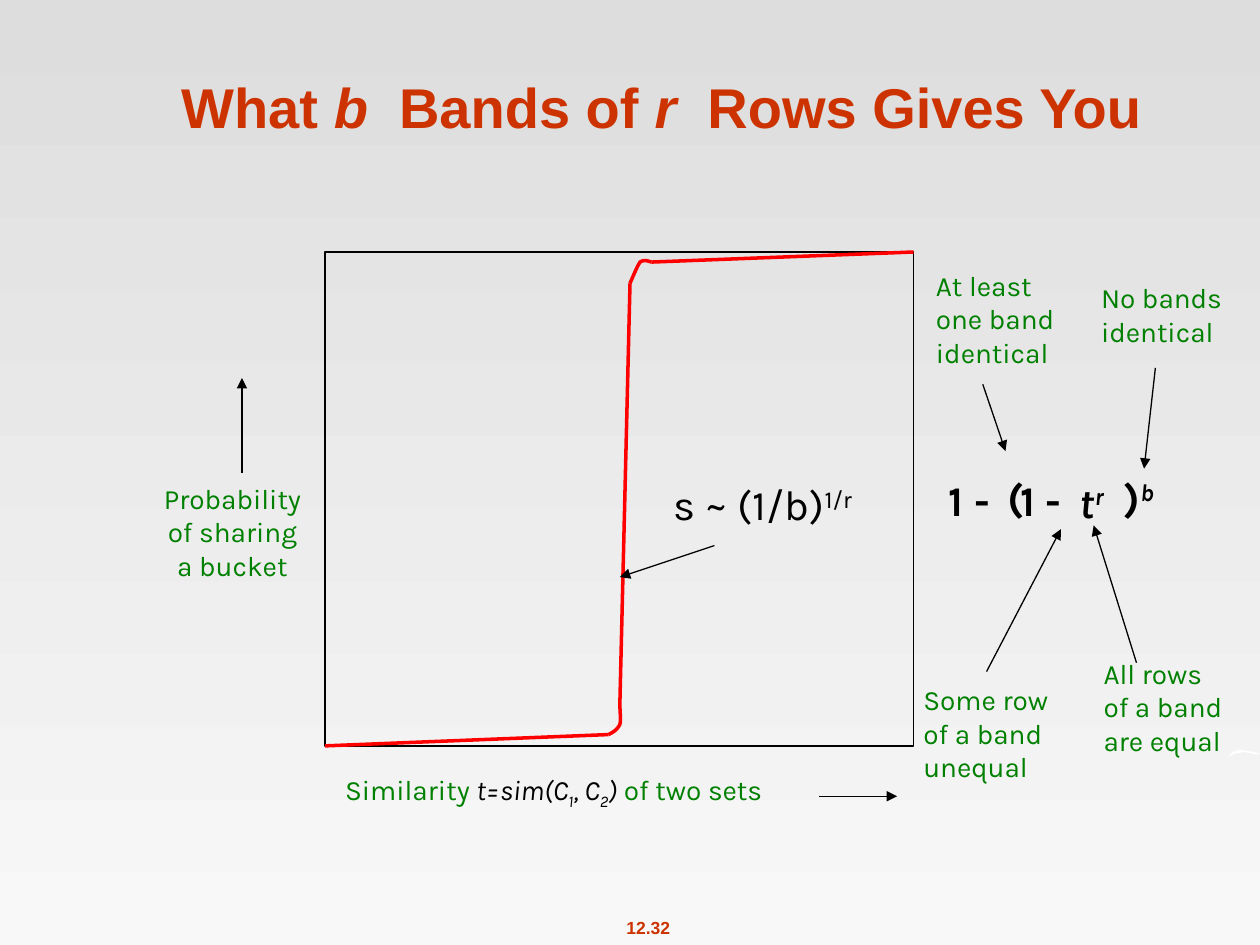
from lxml import etree
from pptx import Presentation
from pptx.dml.color import RGBColor
from pptx.enum.shapes import MSO_CONNECTOR, MSO_SHAPE
from pptx.enum.text import MSO_ANCHOR, MSO_AUTO_SIZE, PP_ALIGN
from pptx.oxml.ns import qn
from pptx.util import Inches, Pt

RUST = RGBColor(0xCC, 0x33, 0x00)
GREEN = RGBColor(0x00, 0x80, 0x00)
BLACK = RGBColor(0x00, 0x00, 0x00)
RED = RGBColor(0xFF, 0x00, 0x00)
WHITE = RGBColor(0xFF, 0xFF, 0xFF)
GREY = RGBColor(0xDD, 0xDD, 0xDD)
PALE = RGBColor(0xF8, 0xF8, 0xF8)
LEFT, CENTER = PP_ALIGN.LEFT, PP_ALIGN.CENTER
BOTTOM = MSO_ANCHOR.BOTTOM
NO_FIT = MSO_AUTO_SIZE.NONE
RECT = MSO_SHAPE.RECTANGLE
STRAIGHT = MSO_CONNECTOR.STRAIGHT


def write(frame, text, size=16, color=GREEN, font="Karla", bold=False,
          italic=False, base=0, align=LEFT):
    """Add text to the last paragraph; each line break starts a new one."""
    for i, line in enumerate(text.split("\n")):
        para = frame.add_paragraph() if i else frame.paragraphs[-1]
        para.alignment = align
        run = para.add_run()
        run.text = line
        run.font.size = Pt(size)
        run.font.name = font
        run.font.bold = bold
        run.font.italic = italic
        run.font.color.rgb = color
        if base:
            run.font._element.set("baseline", str(base * 1000))


def draw(start, end, color=BLACK, width=0.75, arrow=True):
    """Draw a straight line, with an arrowhead at its end if wanted."""
    line = slide.shapes.add_connector(
        STRAIGHT, *[Inches(v) for v in start + end])
    line.line.color.rgb = color
    line.line.width = Pt(width)
    if arrow:
        etree.SubElement(line.line._get_or_add_ln(), qn("a:tailEnd"),
                         type="triangle")
    etree.SubElement(line._element.spPr, qn("a:effectLst"))


prs = Presentation()
prs.slide_width, prs.slide_height = Inches(10), Inches(7.5)
slide = prs.slides.add_slide(prs.slide_layouts[5])

# Background
back = slide.background.fill
back.gradient()
back.gradient_angle = 270
for stop, color in zip(back.gradient_stops, (GREY, PALE)):
    stop.color.rgb = color

# Title
title = slide.shapes.title
title.left, title.top = Inches(0.5), Inches(0.08)
title.width, title.height = Inches(9.5), Inches(1.08)
frame = title.text_frame
frame.vertical_anchor = BOTTOM
frame.auto_size = NO_FIT
for text, slant in (("What ", False), ("b", True), ("  Bands of ", False),
                    ("r", True), ("  Rows Gives You", False)):
    write(frame, text, size=32, color=RUST, font="Arial", bold=True,
          italic=slant, align=CENTER)

# White wisp at the right edge
wisp = [(9.75, 6.01), (9.78, 5.97), (9.84, 5.95), (9.9, 5.96), (10, 5.98),
        (9.98, 5.99), (9.88, 5.97), (9.8, 5.98)]
points = [(Inches(x), Inches(y)) for x, y in wisp]
path = slide.shapes.build_freeform(*points[0])
path.add_line_segments(points[1:], close=True)
shape = path.convert_to_shape()
shape.shadow.inherit = False
shape.fill.solid()
shape.fill.fore_color.rgb = WHITE
shape.line.fill.background()

# Plot frame
plot = slide.shapes.add_shape(RECT, Inches(2.58), Inches(2), Inches(4.67),
                              Inches(3.92))
plot.shadow.inherit = False
plot.fill.background()
plot.line.color.rgb = BLACK
plot.line.width = Pt(0.75)

# S-curve: straight runs joined by two bends
for start, end in (((2.58, 5.92), (4.83, 5.83)), ((4.92, 5.58), (5, 2.25)),
                   ((5.17, 2.08), (7.25, 2))):
    draw(start, end, color=RED, width=2, arrow=False)

# Each bend is two cubic curves: start, two controls, end, two controls, end
bends = [
    [(4.83, 5.83), (4.87, 5.81), (4.9, 5.79), (4.92, 5.75),
     (4.93, 5.71), (4.92, 5.65), (4.92, 5.58)],
    [(5, 2.25), (5.03, 2.18), (5.06, 2.11), (5.08, 2.08),
     (5.11, 2.06), (5.14, 2.07), (5.17, 2.08)],
]
STEPS = 8
for bend in bends:
    points = []
    for k in (0, 3):
        for n in range(1, STEPS + 1):
            t = n / STEPS
            parts = ((1 - t) ** 3, 3 * t * (1 - t) ** 2,
                     3 * t ** 2 * (1 - t), t ** 3)
            points.append(tuple(
                Inches(sum(p * c[axis] for p, c in zip(parts, bend[k:k + 4])))
                for axis in (0, 1)))
    path = slide.shapes.build_freeform(*[Inches(v) for v in bend[0]])
    path.add_line_segments(points, close=False)
    shape = path.convert_to_shape()
    shape.shadow.inherit = False
    shape.fill.background()
    shape.line.color.rgb = RED
    shape.line.width = Pt(2)

# Text boxes: place, size, then runs with their format
big = dict(size=24, color=BLACK)
bold = dict(big, bold=True)
slant = dict(bold, italic=True)
term = dict(color=BLACK, italic=True)
sub = dict(term, base=-25)
boxes = [
    # Formula
    (7.43, 3.72, 0.66, 0.51, [("1 -", bold)]),
    (7.9, 3.7, 0.35, 0.51, [("(", bold)]),
    (8, 3.72, 0.66, 0.51, [("1 -", bold)]),
    (8.47, 3.73, 0.51, 0.51, [("t", slant), ("r", dict(slant, base=30))]),
    (8.82, 3.7, 0.56, 0.51, [(")", bold), ("b", dict(slant, base=30))]),
    # Threshold
    (5.25, 3.75, 1.93, 0.51, [("s ~ (1/b)", big),
                              ("1/r", dict(big, base=30))]),
    # Notes on the formula
    (7.33, 2.08, 1.23, 1, [("At least\none band\nidentical", {})]),
    (8.64, 2.18, 1.24, 0.73, [("No bands\nidentical", {})]),
    (7.23, 5.37, 1.31, 1, [("Some row\nof a band\nunequal", {})]),
    (8.66, 5.16, 1.25, 1, [("All rows\nof a band\nare equal", {})]),
    # Axis labels
    (2.64, 6.08, 3.95, 0.4, [("Similarity ", {}), ("t=sim(C", term),
                             ("1", sub), (", C", term), ("2", sub),
                             (")", term), (" of two sets", {})]),
    (1.17, 3.77, 1.35, 1, [("Probability\nof sharing\na bucket",
                            dict(align=CENTER))]),
    # Page number
    (4.86, 7.23, 0.57, 0.27, [("12.32", dict(size=10, color=RUST, bold=True,
                                             font="Arial", align=CENTER))]),
]
for left, top, width, height, runs in boxes:
    box = slide.shapes.add_textbox(Inches(left), Inches(top), Inches(width),
                                   Inches(height))
    box.text_frame.word_wrap = False
    for text, style in runs:
        write(box.text_frame, text, **style)

# Arrows from notes and along the axes
for start, end in (((9.02, 5.26), (8.68, 4.17)), ((7.83, 5.33), (8.42, 4.2)),
                   ((9.17, 2.92), (9.08, 3.72)), ((7.8, 3.05), (7.98, 3.58)),
                   ((5.67, 4.33), (4.92, 4.58)), ((6.5, 6.32), (7.12, 6.32)),
                   ((1.92, 3.75), (1.92, 3))):
    draw(start, end)

prs.save("out.pptx")
